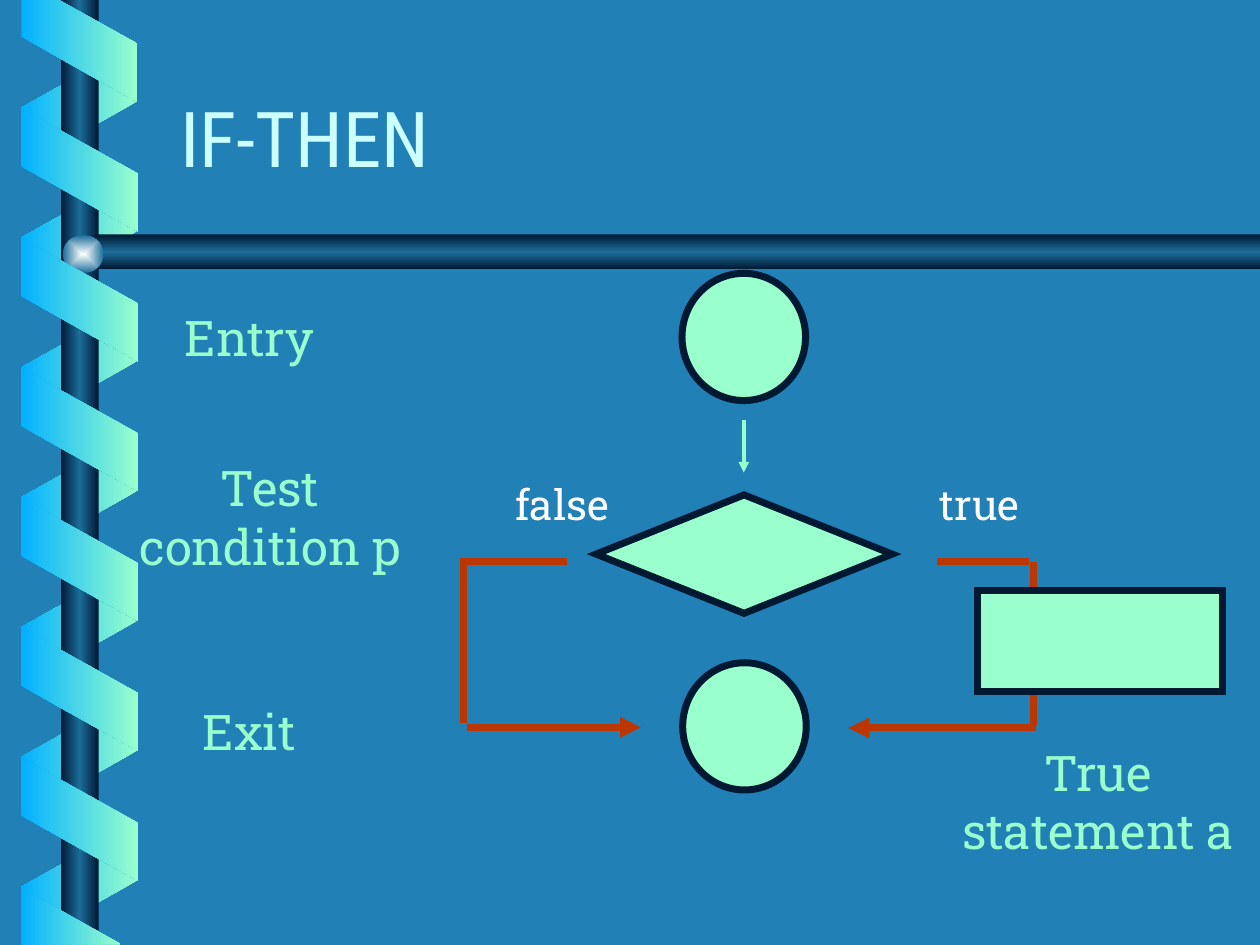
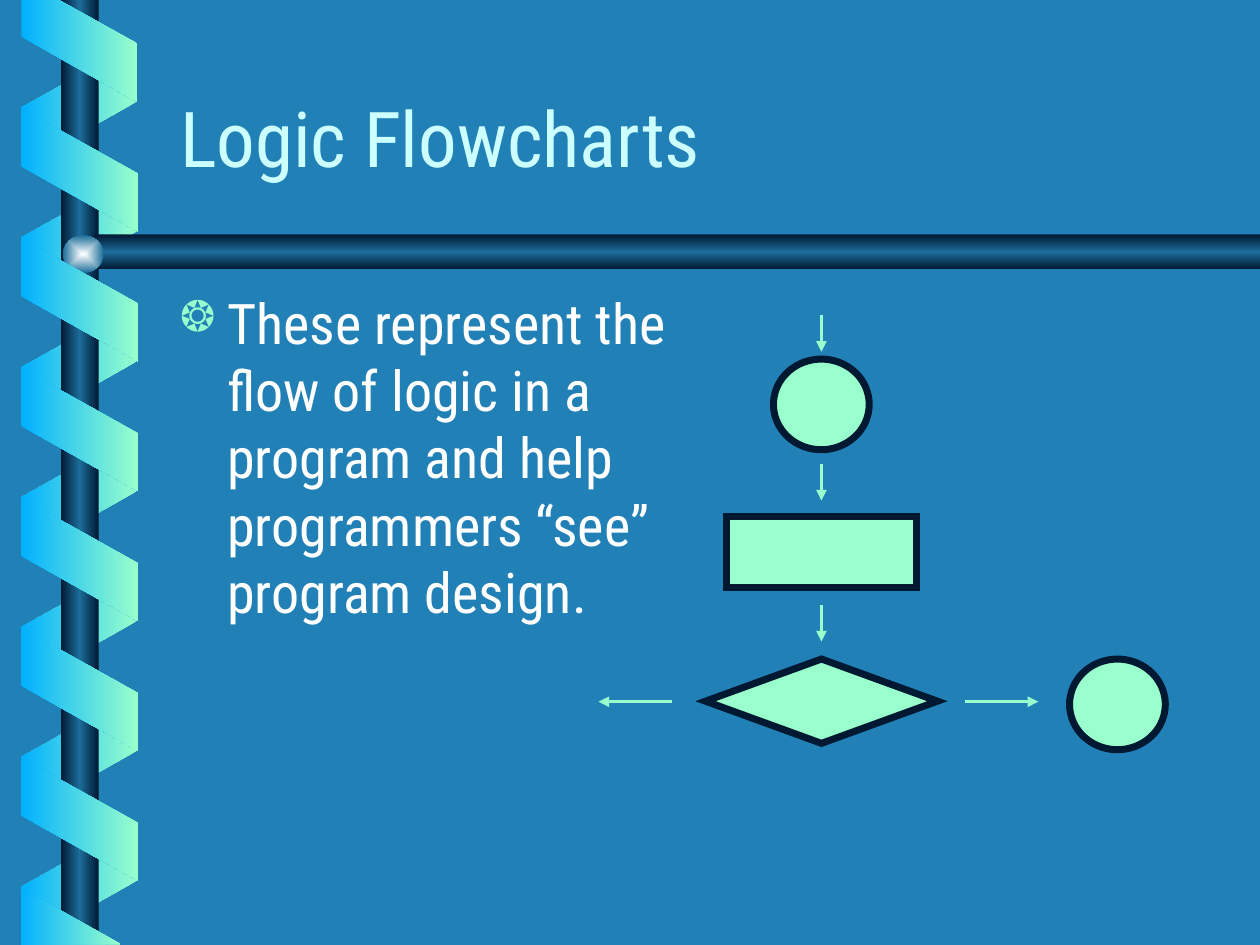
from dataclasses import dataclass

from lxml.etree import SubElement
from pptx import Presentation
from pptx.dml.color import RGBColor
from pptx.enum.shapes import MSO_CONNECTOR, MSO_SHAPE
from pptx.enum.text import MSO_ANCHOR, PP_ALIGN
from pptx.oxml import parse_xml
from pptx.oxml.ns import nsdecls, qn
from pptx.util import Pt

BLUE, MINT, NAVY, STEEL = "01B0FF", "99FFCC", "001932", "1C6D9A"
BACK, PALE, WHITE, RUST, GLOW = "2181B7", "CCFFFF", "FFFFFF", "BC3700", "FEFFFF"
SANS, SLAB = "Roboto Condensed", "Roboto Slab"
WIDTH, HEIGHT = 720, 540
COIL_STEP = 74.2
RIBBON = (BLUE, MINT)
METAL = (NAVY, STEEL, NAVY)

Point = tuple[float, float]


@dataclass
class Node:
    kind: MSO_SHAPE
    left: float
    top: float
    width: float
    height: float


@dataclass
class Line:
    start: Point
    end: Point
    color: str = MINT
    weight: float = 2
    arrow: bool = True


@dataclass
class Label:
    text: str
    left: float
    top: float
    width: float
    height: float
    size: float = 28
    font: str = SLAB
    color: str = MINT
    align: PP_ALIGN = PP_ALIGN.CENTER
    wrap: bool = False
    anchor: MSO_ANCHOR = MSO_ANCHOR.TOP


def rgb(code: str) -> RGBColor:
    return RGBColor.from_string(code)


def shade(shape, colors: tuple[str, ...], angle: int | None = 0) -> None:
    """Fill with evenly spaced colours; no angle means from the centre out."""
    shape.shadow.inherit = False
    shape.line.fill.background()
    shape.fill.gradient()
    stops = "".join(
        f'<a:gs pos="{100000 * i // (len(colors) - 1)}"><a:srgbClr val="{c}"/></a:gs>'
        for i, c in enumerate(colors)
    )
    if angle is None:
        way = ('<a:path path="rect"><a:fillToRect l="50000" t="50000" '
               'r="50000" b="50000"/></a:path>')
    else:
        way = f'<a:lin ang="{angle * 60000}" scaled="1"/>'
    props = shape.element.spPr
    props.replace(
        props.find(qn("a:gradFill")),
        parse_xml(f'<a:gradFill {nsdecls("a")} rotWithShape="0">'
                  f"<a:gsLst>{stops}</a:gsLst>{way}</a:gradFill>"),
    )


def add_coil(slide, top: float, height: float, turn: int, flip: bool) -> None:
    coil = slide.shapes.add_shape(
        MSO_SHAPE.PARALLELOGRAM, Pt(10.1), Pt(top), Pt(70.6), Pt(height))
    coil.adjustments[0] = 0.56
    coil.rotation = turn
    if flip:
        coil.element.spPr.get_or_add_xfrm().flipH = True
    shade(coil, RIBBON[::-1] if flip else RIBBON)


def add_outline(slide, points: list[Point], colors: tuple[str, ...], angle: int = 0) -> None:
    first, *rest = [(Pt(x), Pt(y)) for x, y in points]
    pen = slide.shapes.build_freeform(*first)
    pen.add_line_segments(rest, close=True)
    shade(pen.convert_to_shape(), colors, angle)


def add_frame(slide) -> None:
    """Draw the ribbon wound round the rod, and the bar below the title."""
    for i in range(7):
        add_coil(slide, 26.5 + i * COIL_STEP, 66.4, 90, True)
    rod = slide.shapes.add_shape(MSO_SHAPE.RECTANGLE, Pt(34.8), 0, Pt(21.6), Pt(HEIGHT))
    shade(rod, METAL)
    bar = [(WIDTH, 134), (54.7, 134), (43.2, 144), (54.7, 154), (WIDTH, 154)]
    add_outline(slide, bar, METAL, 90)
    knob = slide.shapes.add_shape(MSO_SHAPE.OVAL, Pt(36), Pt(134.4), Pt(23.2), Pt(21.6))
    shade(knob, (GLOW, STEEL), None)
    for i in range(6):
        add_coil(slide, 63.6 + i * COIL_STEP, 67, 270, False)
    add_outline(slide, [(12.2, 0), (12.2, 20.9), (78.6, 58.3), (78.6, 25), (33.8, 0)], RIBBON)
    add_outline(slide, [(69, 539.5), (12.2, 507.6), (11.8, HEIGHT)], RIBBON)


def add_node(slide, node: Node) -> None:
    shape = slide.shapes.add_shape(
        node.kind, Pt(node.left), Pt(node.top), Pt(node.width), Pt(node.height))
    shape.shadow.inherit = False
    shape.fill.solid()
    shape.fill.fore_color.rgb = rgb(MINT)
    shape.line.color.rgb = rgb(NAVY)
    shape.line.width = Pt(4)
    SubElement(shape.element.spPr.find(qn("a:ln")), qn("a:miter"), lim="800000")


def add_line(slide, line: Line) -> None:
    ends = [Pt(value) for value in (*line.start, *line.end)]
    wire = slide.shapes.add_connector(MSO_CONNECTOR.STRAIGHT, *ends)
    wire.line.color.rgb = rgb(line.color)
    wire.line.width = Pt(line.weight)
    props = wire.element.spPr
    if line.arrow:
        SubElement(props.find(qn("a:ln")), qn("a:tailEnd"), type="triangle")
    SubElement(props, qn("a:effectLst"))


def add_label(slide, label: Label):
    """Place the text and return its paragraph."""
    box = slide.shapes.add_textbox(
        Pt(label.left), Pt(label.top), Pt(label.width), Pt(label.height))
    frame = box.text_frame
    frame.word_wrap = label.wrap
    frame.vertical_anchor = label.anchor
    para = frame.paragraphs[0]
    para.text = label.text
    para.alignment = label.align
    para.font.name = label.font
    para.font.size = Pt(label.size)
    para.font.color.rgb = rgb(label.color)
    return para


def add_bullet(para, sign: str, indent: float) -> None:
    props = para._p.get_or_add_pPr()
    props.set("marL", str(Pt(indent)))
    props.set("indent", str(-Pt(indent)))
    for part in (
        f'<a:buClr {nsdecls("a")}><a:srgbClr val="{MINT}"/></a:buClr>',
        f'<a:buSzPct {nsdecls("a")} val="75000"/>',
        f'<a:buChar {nsdecls("a")} char="{sign}"/>',
    ):
        props.find(qn("a:defRPr")).addprevious(parse_xml(part))


def add_page(deck, title: str):
    slide = deck.slides.add_slide(deck.slide_layouts[6])
    add_frame(slide)
    add_label(slide, Label(title, 95.8, 33.1, 612, 90, 44, SANS, PALE,
                           PP_ALIGN.LEFT, True, MSO_ANCHOR.MIDDLE))
    return slide


def add_branch(deck) -> None:
    slide = add_page(deck, "IF-THEN")
    for line in (
        Line((324, 320.6), (262.8, 320.6), RUST, 4, False),
        Line((265, 321), (265, 413.3), RUST, 4, False),
        Line((267.1, 415.6), (366.3, 415.6), RUST, 4),
        Line((425, 239.8), (425, 270)),
        Line((535.7, 321), (588.2, 321), RUST, 4, False),
        Line((590.4, 321), (590.4, 414), RUST, 4, False),
        Line((592, 416), (484.8, 416), RUST, 4),
    ):
        add_line(slide, line)
    for node in (
        Node(MSO_SHAPE.DIAMOND, 340.6, 282.8, 169.2, 67.7),
        Node(MSO_SHAPE.OVAL, 389.7, 156.2, 70.6, 72.7),
        Node(MSO_SHAPE.OVAL, 390.1, 378.7, 70.6, 72.7),
        Node(MSO_SHAPE.RECTANGLE, 558.7, 337.5, 139.7, 57.6),
    ):
        add_node(slide, node)
    for label in (
        Label("Test condition p", 66.2, 257.8, 176.4, 74.2, wrap=True),
        Label("false", 287.3, 270, 68.4, 36, 24, color=WHITE, align=PP_ALIGN.LEFT),
        Label("true", 529.9, 270, 62.6, 36, 24, color=WHITE, align=PP_ALIGN.LEFT),
        Label("Entry", 97.2, 172.1, 90.7, 40.3),
        Label("Exit", 108, 397.4, 69.1, 40.3),
        Label("True statement a", 535, 420.5, 185, 74.2, wrap=True),
    ):
        add_label(slide, label)


def add_flow(deck) -> None:
    slide = add_page(deck, "Logic Flowcharts")
    para = add_label(slide, Label(
        "These represent the flow of logic in a program and help "
        "programmers “see” program design.",
        95.8, 161.3, 311, 324, 32, SANS, WHITE, PP_ALIGN.LEFT, True))
    para.space_before = Pt(8)
    add_bullet(para, "❂", 27)
    for node in (
        Node(MSO_SHAPE.RECTANGLE, 415, 295.2, 108.7, 40.7),
        Node(MSO_SHAPE.DIAMOND, 403.2, 376.6, 132.5, 48.2),
        Node(MSO_SHAPE.OVAL, 442, 205.2, 54.7, 51.8),
        Node(MSO_SHAPE.OVAL, 611.2, 376.6, 54.7, 51.8),
    ):
        add_node(slide, node)
    for top in (180, 265, 345.6):
        add_line(slide, Line((469.4, top), (469.4, top + 21)))
    for start, end in ((551.5, 593.3), (383.8, 342)):
        add_line(slide, Line((start, 401), (end, 401)))


def main() -> None:
    deck = Presentation()
    deck.slide_width, deck.slide_height = Pt(WIDTH), Pt(HEIGHT)
    ground = deck.slide_master.background.fill
    ground.solid()
    ground.fore_color.rgb = rgb(BACK)
    add_branch(deck)
    add_flow(deck)
    deck.save("out.pptx")


if __name__ == "__main__":
    main()
